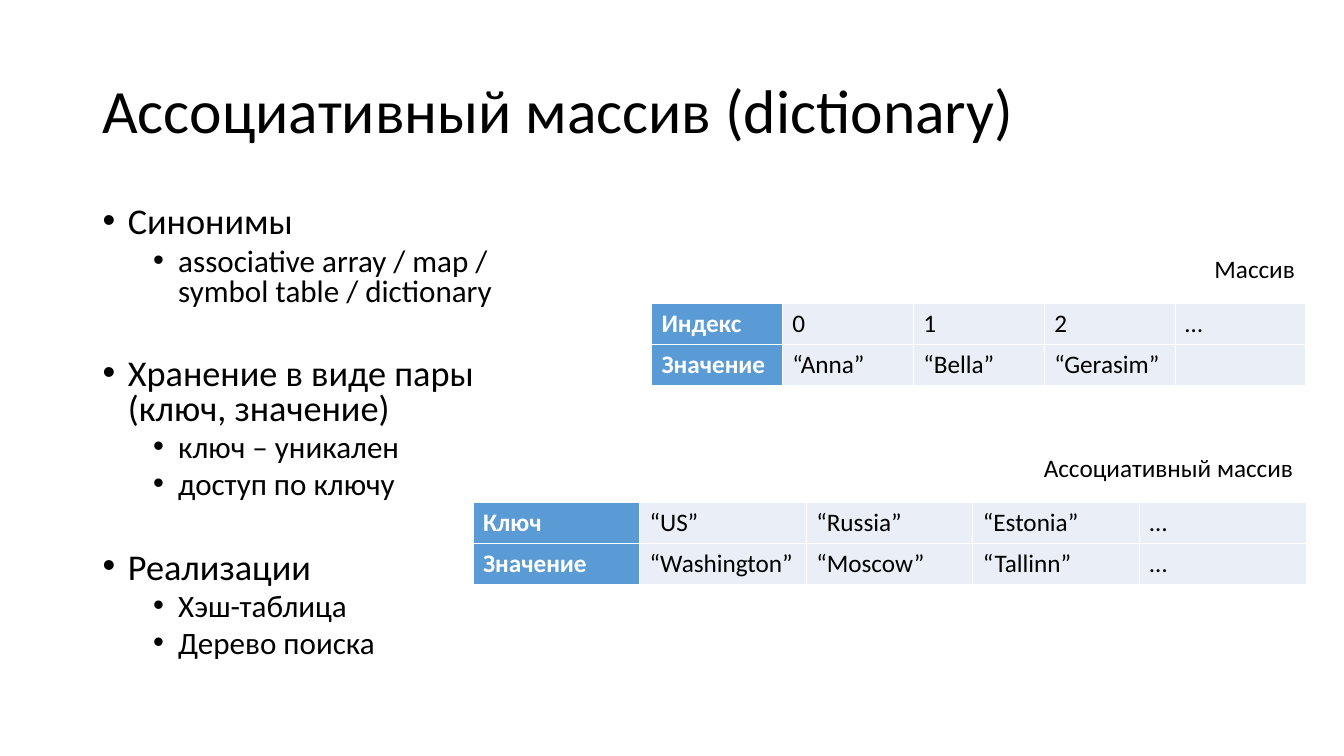
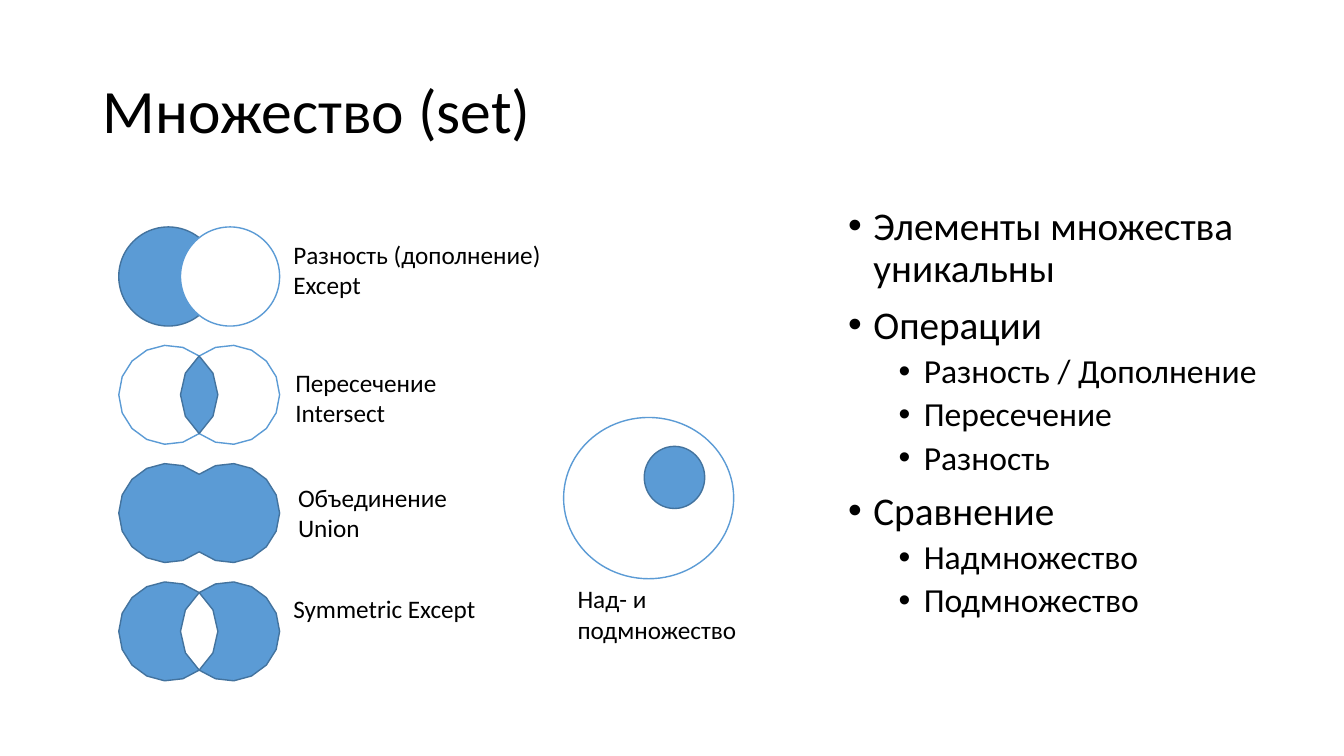
from math import acos, cos, pi, sin

from lxml import etree
from pptx import Presentation, util as u
from pptx.dml.color import RGBColor
from pptx.enum import shapes, text
from pptx.oxml.ns import qn

# Colours and font
BLACK = RGBColor(0x00, 0x00, 0x00)
WHITE = RGBColor(0xFF, 0xFF, 0xFF)
BLUE = RGBColor(0x5B, 0x9B, 0xD5)
DARK_BLUE = RGBColor(0x43, 0x73, 0x9E)
PALE_BLUE = RGBColor(0xEA, 0xEF, 0xF7)
FONT = "Calibri"

# Grid of square cells, 160 columns by 90 rows
COLUMNS, ROWS = 160, 90
CELL = u.Inches(7.5) // ROWS
MARGIN = 11.04
RIGHT_EDGE = 155.5
TABLE_ROW = 4.87


def grid(*lengths):
    return [u.Emu(round(length * CELL)) for length in lengths]


def arc(center, radius, start, end, steps):
    """Points on a circle, from one angle up to, but without, another."""
    angles = [start + (end - start) * i / steps for i in range(steps)]
    return [(center[0] + radius * cos(a), center[1] + radius * sin(a)) for a in angles]


class Deck:
    def __init__(self):
        self.prs = Presentation()
        self.prs.slide_width, self.prs.slide_height = grid(COLUMNS, ROWS)
        self.slide = None

    def new_slide(self, title):
        self.slide = self.prs.slides.add_slide(self.prs.slide_layouts[6])
        frame = self.frame(MARGIN, 4.8, 138, 17.4)
        frame.vertical_anchor = text.MSO_ANCHOR.MIDDLE
        frame.paragraphs[0].line_spacing = 0.9
        self.run(frame.paragraphs[0], title, 44)

    def frame(self, left, top, width, height):
        frame = self.slide.shapes.add_textbox(*grid(left, top, width, height)).text_frame
        frame.word_wrap = True
        return frame

    def run(self, paragraph, words, size=18, color=BLACK, bold=False):
        run = paragraph.add_run()
        run.text = words
        font = run.font
        font.name, font.size, font.bold = FONT, u.Pt(size), bold
        font.color.rgb = color

    def paragraphs(self, frame, count):
        return [frame.paragraphs[0]] + [frame.add_paragraph() for _ in range(count - 1)]

    def label(self, left, top, width, *lines):
        frame = self.frame(left, top, width, 1.2 + 3.65 * len(lines))
        for paragraph, line in zip(self.paragraphs(frame, len(lines)), lines):
            self.run(paragraph, line)

    def outline(self, left, width, topics, sizes, spacing, topic_gap=10):
        """Bulleted topics, each with its points one level down."""
        items = [(level, words) for topic, points in topics
                 for level, words in [(0, topic)] + [(1, point) for point in points]]
        frame = self.frame(left, 24, width, 57.1)
        for i, (paragraph, (level, words)) in enumerate(
                zip(self.paragraphs(frame, len(items)), items)):
            paragraph.level = level
            paragraph.line_spacing = spacing
            gap = 5 if level else topic_gap if i else 10
            paragraph.space_before = u.Pt(gap)
            self.run(paragraph, words, sizes[level])
            props = paragraph._p.get_or_add_pPr()
            props.set("marL", str(u.Inches(0.25 + 0.5 * level)))
            props.set("indent", str(-u.Inches(0.25)))
            etree.SubElement(props, qn("a:buFont")).set("typeface", "Arial")
            etree.SubElement(props, qn("a:buChar")).set("char", "•")

    def table(self, caption, caption_left, left, top, rows):
        """Captioned table with a heading column, ending at the right edge."""
        width = RIGHT_EDGE - left
        table = self.slide.shapes.add_table(
            len(rows), len(rows[0]),
            *grid(left, top, width, TABLE_ROW * len(rows))).table
        table.first_row = table.horz_banding = False
        for column in table.columns:
            column.width = grid(width / len(rows[0]))[0]
        for r, row in enumerate(rows):
            for c, words in enumerate(row):
                cell = table.cell(r, c)
                heading = c == 0
                cell.fill.solid()
                cell.fill.fore_color.rgb = BLUE if heading else PALE_BLUE
                self.borders(cell)
                if words:
                    self.run(cell.text_frame.paragraphs[0], words,
                             color=WHITE if heading else BLACK, bold=heading)
        self.label(caption_left, top - 6.6, RIGHT_EDGE - caption_left + 0.4, caption)

    def borders(self, cell):
        props = cell._tc.get_or_add_tcPr()
        for i, side in enumerate(("a:lnL", "a:lnR", "a:lnT", "a:lnB")):
            line = etree.Element(qn(side), w=str(u.Pt(1)))
            fill = etree.SubElement(line, qn("a:solidFill"))
            etree.SubElement(fill, qn("a:srgbClr")).set("val", str(WHITE))
            props.insert(i, line)

    def paint(self, shape, filled):
        shape.shadow.inherit = False
        shape.fill.solid()
        shape.fill.fore_color.rgb = BLUE if filled else WHITE
        shape.line.color.rgb = DARK_BLUE if filled else BLUE
        shape.line.width = u.Pt(1)

    def ellipse(self, left, top, width, height, filled):
        shape = self.slide.shapes.add_shape(
            shapes.MSO_SHAPE.OVAL, *grid(left, top, width, height))
        self.paint(shape, filled)

    def region(self, contours, filled):
        contours = [[grid(*point) for point in contour] for contour in contours]
        builder = self.slide.shapes.build_freeform(*contours[0][0])
        for i, contour in enumerate(contours):
            if i:
                builder.move_to(*contour[0])
            builder.add_line_segments(contour[1:], close=True)
        self.paint(builder.convert_to_shape(), filled)


def dictionary_slide(deck):
    deck.new_slide("Ассоциативный массив (dictionary)")
    deck.outline(MARGIN, 57.8, [
        ("Синонимы", ["associative array / map / symbol table / dictionary"]),
        ("Хранение в виде пары (ключ, значение)", ["ключ – уникален", "доступ по ключу"]),
        ("Реализации", ["Хэш-таблица", "Дерево поиска"]),
    ], sizes=(25.9, 22.2), spacing=0.8, topic_gap=36)
    deck.table("Ассоциативный массив", 123.1, 56.3, 59.86, [
        ["Ключ", "“US”", "“Russia”", "“Estonia”", "…"],
        ["Значение", "“Washington”", "“Moscow”", "“Tallinn”", "…"],
    ])
    deck.table("Массив", 143.4, 77.55, 36.14, [
        ["Индекс", "0", "1", "2", "…"],
        ["Значение", "“Anna”", "“Bella”", "“Gerasim”", ""],
    ])


def set_slide(deck):
    deck.new_slide("Множество (set)")
    deck.outline(99.8, 53.4, [
        ("Элементы множества уникальны", []),
        ("Операции", ["Разность / Дополнение", "Пересечение", "Разность"]),
        ("Сравнение", ["Надмножество", "Подмножество"]),
    ], sizes=(28, 24), spacing=0.9)

    # Two overlapping circles in each row
    left, first_top, step = 14.14, 27.02, 14.08
    radius, shift = 5.9, 7.35
    meet = acos(shift / 2 / radius)
    difference, intersection, union, symmetric = (first_top + step * i for i in range(4))

    def both(top):
        """Outline of the two circles together."""
        a, b = (left + radius, top + radius), (left + radius + shift, top + radius)
        return (arc(a, radius, meet, 2 * pi - meet, 12)
                + arc(b, radius, pi + meet, 3 * pi - meet, 12))

    def lens(top):
        """Outline of the part the two circles share."""
        a, b = (left + radius, top + radius), (left + radius + shift, top + radius)
        return (arc(a, radius, -meet, meet, 4)
                + arc(b, radius, pi - meet, pi + meet, 4))

    # Difference
    deck.ellipse(left, difference, 2 * radius, 2 * radius, True)
    deck.ellipse(left + shift, difference, 2 * radius, 2 * radius, False)
    deck.label(33.74, 27.9, 32.5, "Разность (дополнение)", "Except")

    # Intersection
    deck.region([both(intersection)], False)
    deck.region([lens(intersection)], True)
    deck.label(33.98, 43.1, 20, "Пересечение", "Intersect")

    # Union
    deck.region([both(union)], True)
    deck.label(34.3, 56.84, 21, "Объединение", "Union")

    # Superset and subset
    deck.ellipse(67.1, 49.7, 20.25, 19.2, False)
    deck.ellipse(76.7, 53.14, 7.2, 7.4, True)
    deck.label(67.58, 68.9, 22, "Над- и", "подмножество")

    # Symmetric difference
    deck.region([both(symmetric), lens(symmetric)[::-1]], True)
    deck.label(33.74, 70.04, 25, "Symmetric Except")


def main():
    deck = Deck()
    dictionary_slide(deck)
    set_slide(deck)
    deck.prs.save("out.pptx")


if __name__ == "__main__":
    main()
